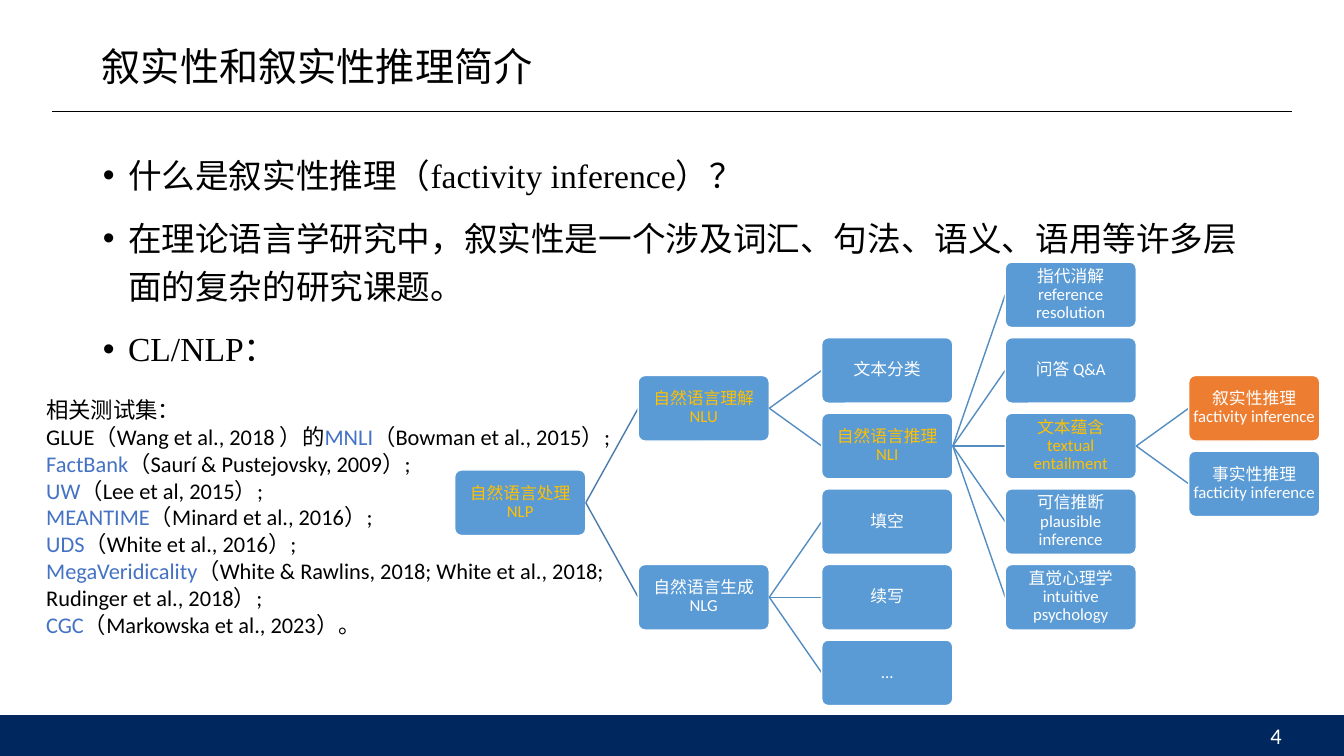
import pptx
import pptx.util
from lxml import etree
from pptx.dml.color import RGBColor
from pptx.enum.shapes import MSO_CONNECTOR, MSO_SHAPE
from pptx.enum.text import MSO_ANCHOR, MSO_AUTO_SIZE, PP_ALIGN
from pptx.oxml.ns import qn
from pptx.util import Inches, Pt

BLACK = RGBColor(0x00, 0x00, 0x00)
WHITE = RGBColor(0xFF, 0xFF, 0xFF)
NAVY = RGBColor(0x00, 0x28, 0x5F)
BLUE = RGBColor(0x5B, 0x9B, 0xD5)
ORANGE = RGBColor(0xED, 0x7D, 0x31)
GOLD = RGBColor(0xFF, 0xC0, 0x00)
LINK_BLUE = RGBColor(0x44, 0x72, 0xC4)
ROOT_LINE = RGBColor(0x49, 0x7C, 0xAB)
BRANCH_LINE = RGBColor(0x53, 0x8D, 0xC1)

TREE_LEFT, TREE_TOP = 4.51, 2.6
COLUMN_STEP, ROW_STEP = 1.82, 0.75
NODE_WIDTH, NODE_HEIGHT = 1.3, 0.65


def set_font(font, name, size, color):
    font.name = name
    font.size = Pt(size)
    font.color.rgb = color


def add_line(shapes, start, end, color, width):
    line = shapes.add_connector(MSO_CONNECTOR.STRAIGHT, *map(Inches, start + end))
    line.line.color.rgb = color
    line.line.width = Pt(width)
    etree.SubElement(line._element.spPr, qn("a:effectLst"))


deck = pptx.Presentation()
deck.slide_width = Inches(13.33)
deck.slide_height = Inches(7.5)
page = deck.slides.add_slide(deck.slide_layouts[1])

title = page.shapes.title
title.left, title.top, title.width, title.height = map(Inches, (0.91, -0.04, 11.5, 1.45))
title.text_frame.text = "叙实性和叙实性推理简介"
title.text_frame.auto_size = MSO_AUTO_SIZE.NONE
title.text_frame.vertical_anchor = MSO_ANCHOR.MIDDLE
para = title.text_frame.paragraphs[0]
para.alignment = PP_ALIGN.LEFT
para.line_spacing = 0.9
set_font(para.font, "Calibri", 28, BLACK)

add_line(page.shapes, (0.52, 1.1), (12.81, 1.1), BLACK, 0.5)

footer = page.shapes.add_shape(MSO_SHAPE.RECTANGLE, 0, Inches(7.1), deck.slide_width, Inches(0.4))
footer.shadow.inherit = False
footer.fill.solid()
footer.fill.fore_color.rgb = NAVY
footer.line.color.rgb = NAVY
footer.line.width = Pt(1)

body = page.placeholders[1]
body.left, body.top, body.width, body.height = map(Inches, (0.92, 1.41, 11.5, 5.24))
body.text_frame.auto_size = MSO_AUTO_SIZE.NONE
points = [
    "什么是叙实性推理（factivity inference）？",
    "在理论语言学研究中，叙实性是一个涉及词汇、句法、语义、语用等许多层面的复杂的研究课题。",
    "CL/NLP：",
]
body.text_frame.text = "\n".join(points)
for index, para in enumerate(body.text_frame.paragraphs):
    properties = para._p.get_or_add_pPr()
    properties.set("marL", str(Inches(0.25)))
    properties.set("indent", str(-Inches(0.25)))
    etree.SubElement(properties, qn("a:buFont"), typeface="Arial")
    etree.SubElement(properties, qn("a:buChar"), char="•")
    para.line_spacing = 1.2
    para.space_before = Pt(10 if index else 0)
    set_font(para.font, "Times New Roman", 24, BLACK)

number = page.shapes.add_textbox(*map(Inches, (9.81, 7.1, 3, 0.4)))
number.text_frame.word_wrap = True
number.text_frame.vertical_anchor = MSO_ANCHOR.MIDDLE
number.text_frame.text = "4"
para = number.text_frame.paragraphs[0]
para.alignment = PP_ALIGN.RIGHT
set_font(para.font, "Calibri", 16, WHITE)

nodes = [
    (0, 2.75, None, ["自然语言处理", "NLP"], GOLD, BLUE),
    (1, 1.5, 2.75, ["自然语言理解", "NLU"], GOLD, BLUE),
    (1, 4, 2.75, ["自然语言生成", "NLG"], WHITE, BLUE),
    (2, 1, 1.5, ["文本分类"], WHITE, BLUE),
    (2, 2, 1.5, ["自然语言推理", "NLI"], GOLD, BLUE),
    (2, 3, 4, ["填空"], WHITE, BLUE),
    (2, 4, 4, ["续写"], WHITE, BLUE),
    (2, 5, 4, ["..."], WHITE, BLUE),
    (3, 0, 2, ["指代消解", "reference resolution"], WHITE, BLUE),
    (3, 1, 2, ["问答 Q&A"], WHITE, BLUE),
    (3, 2, 2, ["文本蕴含", "textual entailment"], GOLD, BLUE),
    (3, 3, 2, ["可信推断", "plausible inference"], WHITE, BLUE),
    (3, 4, 2, ["直觉心理学", "intuitive psychology"], WHITE, BLUE),
    (4, 1.5, 2, ["叙实性推理", "factivity inference"], WHITE, ORANGE),
    (4, 2.5, 2, ["事实性推理", "facticity inference"], WHITE, BLUE),
]
tree = page.shapes.add_group_shape()
for column, row, parent_row, lines, text_color, fill_color in nodes:
    left = TREE_LEFT + column * COLUMN_STEP
    top = TREE_TOP + row * ROW_STEP
    if parent_row is not None:
        start = (left - COLUMN_STEP + NODE_WIDTH, TREE_TOP + parent_row * ROW_STEP + NODE_HEIGHT / 2)
        end = (left, top + NODE_HEIGHT / 2)
        add_line(tree.shapes, start, end, ROOT_LINE if column == 1 else BRANCH_LINE, 1)
    node = tree.shapes.add_shape(
        MSO_SHAPE.ROUNDED_RECTANGLE, *map(Inches, (left, top, NODE_WIDTH, NODE_HEIGHT))
    )
    node.adjustments[0] = 0.1
    node.shadow.inherit = False
    node.fill.solid()
    node.fill.fore_color.rgb = fill_color
    node.line.color.rgb = WHITE
    node.line.width = Pt(1)
    frame = node.text_frame
    frame.word_wrap = True
    frame.vertical_anchor = MSO_ANCHOR.MIDDLE
    frame.margin_left = frame.margin_right = Inches(0.01)
    frame.margin_top = frame.margin_bottom = Inches(0.01)
    para = frame.paragraphs[0]
    para.alignment = PP_ALIGN.CENTER
    para.line_spacing = 0.9
    set_font(para.font, "Calibri", 12, text_color)
    for index, line in enumerate(lines):
        if index:
            para.add_line_break()
        para.add_run().text = line

test_sets = [
    ("相关测试集：", "", ""),
    ("GLUE（Wang et al., 2018 ）的", "MNLI", "（Bowman et al., 2015）;"),
    ("", "FactBank", "（Saurí & Pustejovsky, 2009）;"),
    ("", "UW", "（Lee et al, 2015）;"),
    ("", "MEANTIME", "（Minard et al., 2016）;"),
    ("", "UDS", "（White et al., 2016）;"),
    ("", "MegaVeridicality", "（White & Rawlins, 2018; White et al., 2018; Rudinger et al., 2018）;"),
    ("", "CGC", "（Markowska et al., 2023）。"),
]
box = page.shapes.add_textbox(*map(Inches, (0.36, 3.88, 5.78, 2.52)))
box.text_frame.word_wrap = True
box.text_frame.auto_size = MSO_AUTO_SIZE.SHAPE_TO_FIT_TEXT
for index, parts in enumerate(test_sets):
    para = box.text_frame.add_paragraph() if index else box.text_frame.paragraphs[0]
    set_font(para.font, "Calibri", 16, BLACK)
    for text, color in zip(parts, (BLACK, LINK_BLUE, BLACK)):
        if text:
            span = para.add_run()
            span.text = text
            span.font.color.rgb = color

deck.save("out.pptx")
